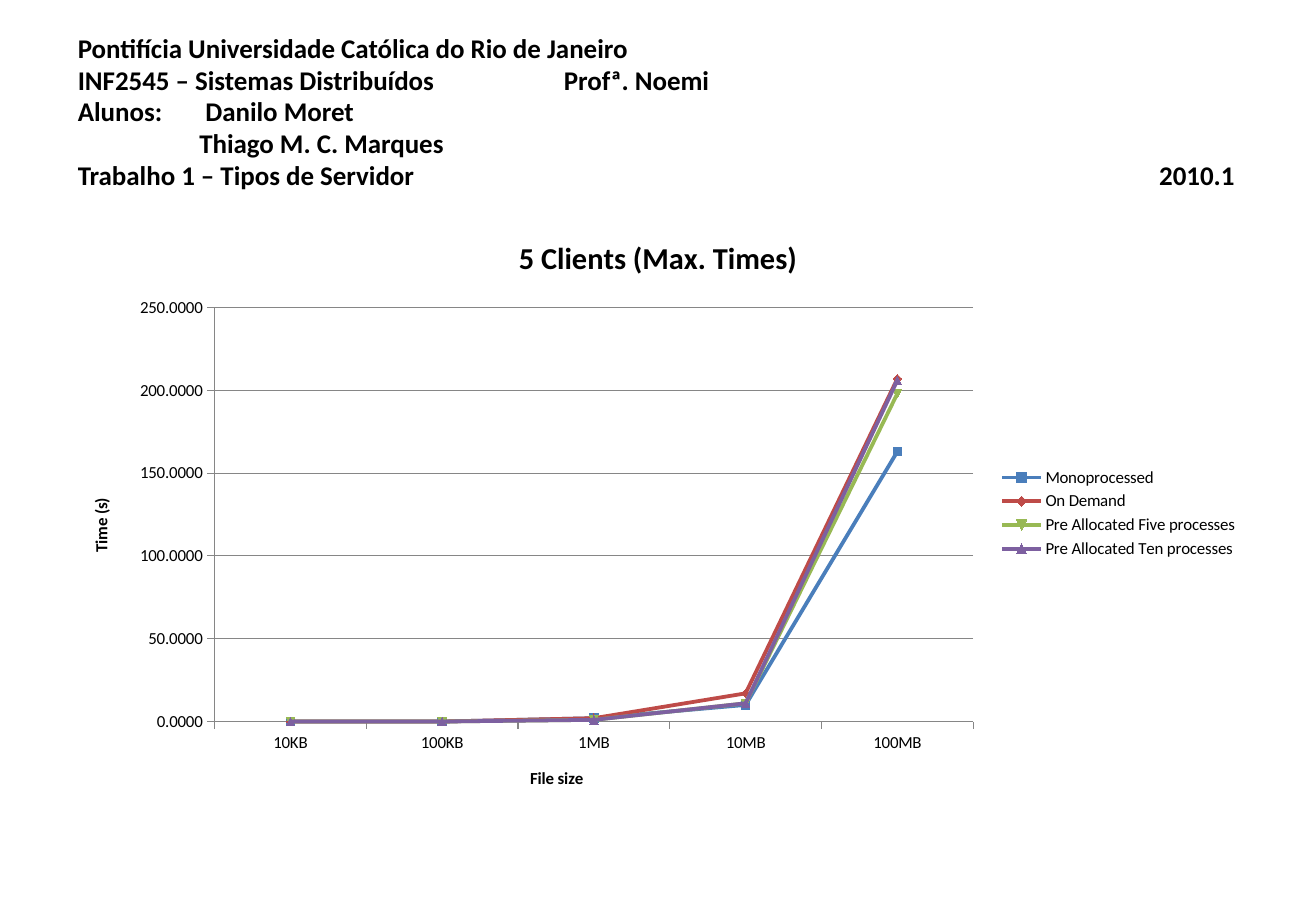
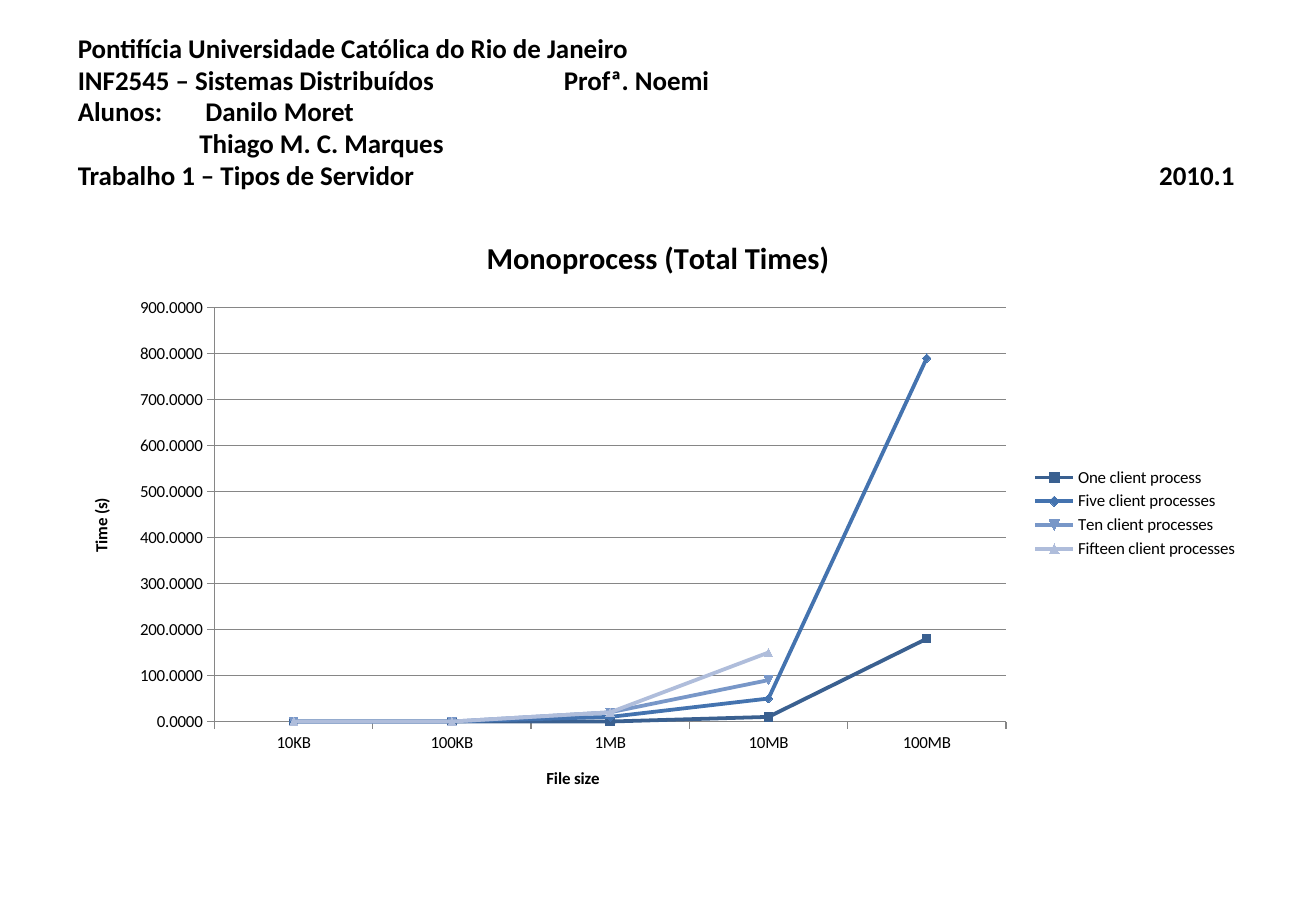
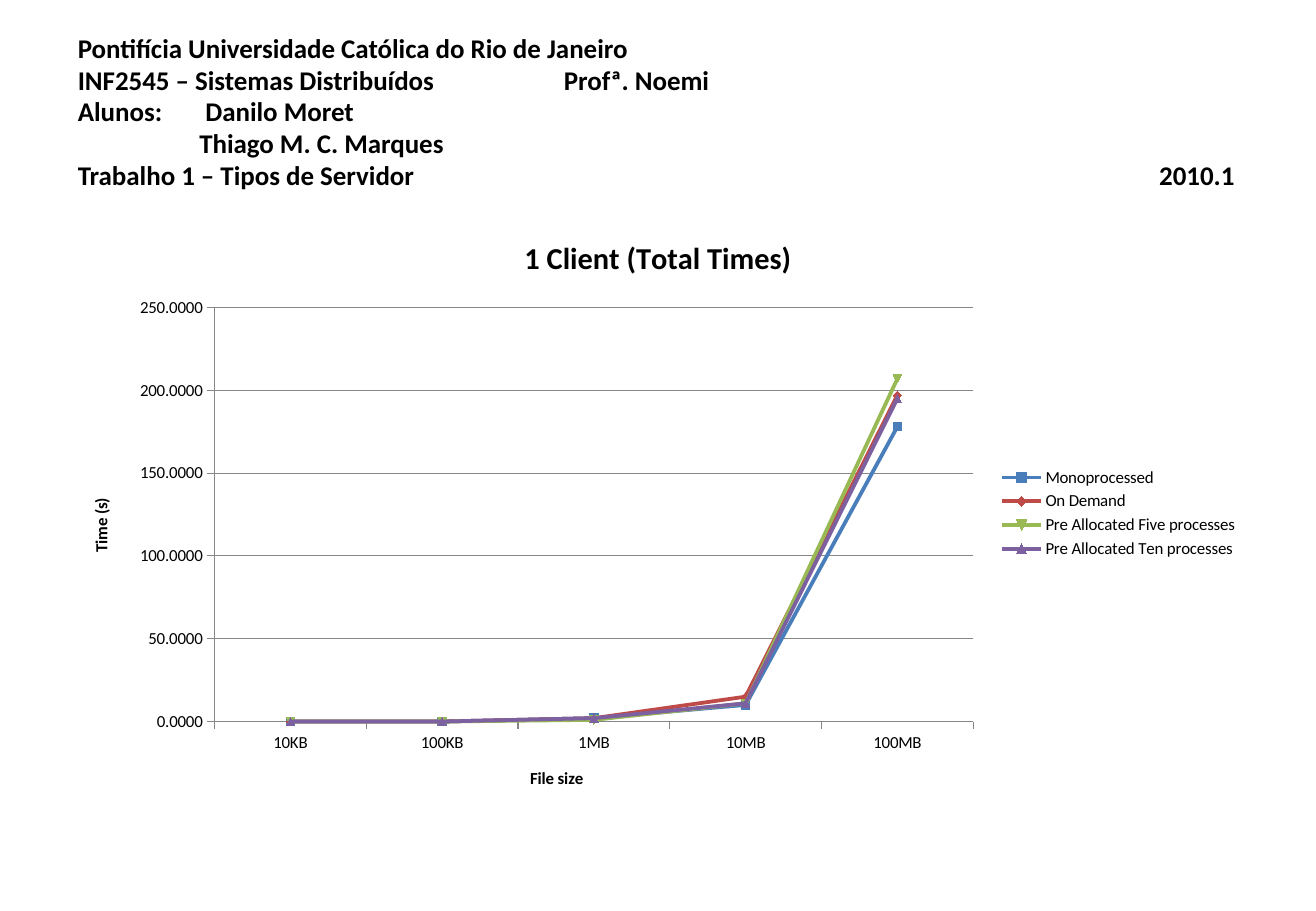
from lxml.etree import SubElement
from pptx import Presentation
from pptx.chart.data import CategoryChartData
from pptx.dml.color import RGBColor
from pptx.enum.chart import XL_CHART_TYPE as ChartType
from pptx.enum.chart import XL_LEGEND_POSITION as LegendPosition
from pptx.enum.chart import XL_TICK_MARK as TickMark
from pptx.enum.text import MSO_ANCHOR as Anchor
from pptx.enum.text import MSO_AUTO_SIZE as AutoSize
from pptx.enum.text import PP_ALIGN as Align
from pptx.oxml.ns import qn
from pptx.util import Inches, Pt

FONT = "Calibri"
BLACK = RGBColor(0x00, 0x00, 0x00)
GRAY = RGBColor(0x86, 0x86, 0x86)
BLUE = RGBColor(0x4A, 0x7E, 0xBB)
RED = RGBColor(0xBE, 0x4B, 0x48)
GREEN = RGBColor(0x98, 0xB9, 0x54)
PURPLE = RGBColor(0x7D, 0x60, 0xA0)
BLUE_1 = RGBColor(0x3A, 0x60, 0x90)
BLUE_2 = RGBColor(0x44, 0x73, 0xAF)
BLUE_3 = RGBColor(0x78, 0x97, 0xC8)
BLUE_4 = RGBColor(0xAF, 0xBD, 0xDB)

LEFT, WIDTH = Inches(0.54), Inches(9.75)

# Each line: text, tab position in inches, tab alignment
HEADING = [
    ("Pontifícia Universidade Católica do Rio de Janeiro", None, None),
    ("INF2545 – Sistemas Distribuídos\tProfª. Noemi", 4, "l"),
    ("Alunos:\tDanilo Moret", 1.05, "l"),
    ("\tThiago M. C. Marques", 1, "l"),
    ("Trabalho 1 – Tipos de Servidor\t2010.1", 9.52, "r"),
]

FILE_SIZES = ["10KB", "100KB", "1MB", "10MB", "100MB"]
SERVERS = ["Monoprocessed", "On Demand",
           "Pre Allocated Five processes", "Pre Allocated Ten processes"]
CLIENTS = [f"{count} client process{ending}" for count, ending in
           [("One", ""), ("Five", "es"), ("Ten", "es"), ("Fifteen", "es")]]
SERVER_COLORS = [BLUE, RED, GREEN, PURPLE]
CLIENT_COLORS = [BLUE_1, BLUE_2, BLUE_3, BLUE_4]

# Each chart: title, series names, colours, axis maximum, axis step, values
CHARTS = [
    ("5 Clients (Max. Times)", SERVERS, SERVER_COLORS, 250, 50,
     [(0, 0, 2, 10, 163), (0, 0, 2, 17, 207),
      (0, 0, 1, 11, 198), (0, 0, 1, 11, 206)]),
    ("Monoprocess (Total Times)", CLIENTS, CLIENT_COLORS, 900, 100,
     [(0, 0, 0, 10, 180), (0, 0, 10, 50, 790),
      (0, 0, 20, 90, None), (0, 0, 20, 150, None)]),
    ("1 Client (Total Times)", SERVERS, SERVER_COLORS, 250, 50,
     [(0, 0, 2, 10, 178), (0, 0, 2, 15, 197),
      (0, 0, 1, 11, 207), (0, 0, 2, 11, 195)]),
]


def write(para, text, size=10, bold=True, color=BLACK):
    span = para.add_run()
    span.text = text
    span.font.name = FONT
    span.font.size = Pt(size)
    span.font.bold = bold
    span.font.color.rgb = color


deck = Presentation()
deck.slide_width, deck.slide_height = Inches(10.83), Inches(7.5)
title_only = deck.slide_layouts[5]

for chart_title, names, colors, maximum, step, rows in CHARTS:
    page = deck.slides.add_slide(title_only)

    heading = page.shapes.title
    heading.left, heading.top = LEFT, Inches(0.3)
    heading.width, heading.height = WIDTH, Inches(1.25)
    frame = heading.text_frame
    frame.word_wrap = True
    frame.auto_size = AutoSize.NONE
    frame.vertical_anchor = Anchor.MIDDLE
    for index, (text, position, side) in enumerate(HEADING):
        para = frame.add_paragraph() if index else frame.paragraphs[0]
        para.alignment = Align.LEFT
        para.line_spacing = 0.98
        if position:
            tabs = SubElement(para._p.get_or_add_pPr(), qn("a:tabLst"))
            SubElement(tabs, qn("a:tab"), pos=str(Inches(position)), algn=side)
        write(para, text, size=16)

    data = CategoryChartData(number_format="0.0000")
    data.categories = FILE_SIZES
    for name, values in zip(names, rows):
        data.add_series(name, values)
    chart = page.shapes.add_chart(ChartType.LINE_MARKERS, LEFT, Inches(1.75),
                                  WIDTH, Inches(4.95), data).chart
    chart.font.name = FONT
    chart.font.size = Pt(10)
    chart.font.color.rgb = BLACK
    chart.has_title = True
    write(chart.chart_title.text_frame.paragraphs[0], chart_title, size=18)
    chart.has_legend = True
    chart.legend.position = LegendPosition.RIGHT
    chart.legend.include_in_layout = False

    for axis, label in [(chart.category_axis, "File size"),
                        (chart.value_axis, "Time (s)")]:
        write(axis.axis_title.text_frame.paragraphs[0], label)
        axis.major_tick_mark = TickMark.OUTSIDE
        axis.minor_tick_mark = TickMark.NONE
        axis.format.line.color.rgb = GRAY
        axis.format.line.width = Pt(0.75)

    time_axis = chart.value_axis
    time_axis.axis_title.text_frame._txBody.bodyPr.set("rot", "-5400000")
    time_axis.minimum_scale = 0
    time_axis.maximum_scale = maximum
    time_axis.major_unit = step
    time_axis.tick_labels.number_format = "0.0000"
    time_axis.tick_labels.number_format_is_linked = False
    time_axis.has_major_gridlines = True
    gridline = time_axis.major_gridlines.format.line
    gridline.color.rgb = GRAY
    gridline.width = Pt(0.75)

    plot = chart.plots[0]
    plot.vary_by_categories = False
    for series, color in zip(plot.series, colors):
        series.smooth = False
        series.format.line.color.rgb = color
        series.format.line.width = Pt(2.25)
        marker = series.marker.format
        marker.fill.solid()
        marker.fill.fore_color.rgb = color
        marker.line.color.rgb = color

deck.save("out.pptx")
